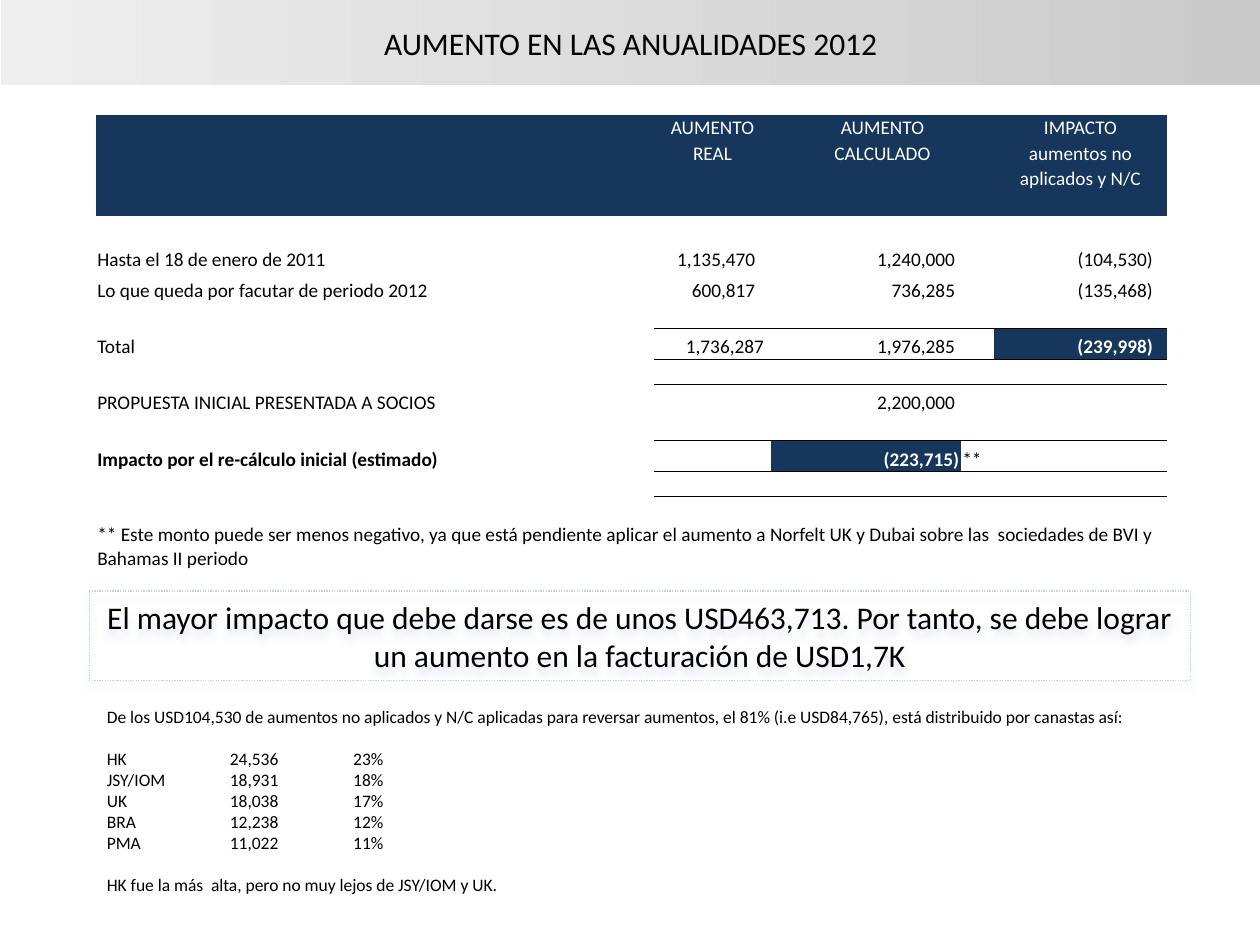
from lxml import etree
from pptx import Presentation
from pptx.dml.color import RGBColor
from pptx.enum.dml import MSO_LINE
from pptx.enum.shapes import MSO_SHAPE
from pptx.enum.text import MSO_ANCHOR, PP_ALIGN
from pptx.oxml.ns import qn
from pptx.util import Pt

LEFT, CENTER, RIGHT = PP_ALIGN.LEFT, PP_ALIGN.CENTER, PP_ALIGN.RIGHT
MIDDLE, BOTTOM = MSO_ANCHOR.MIDDLE, MSO_ANCHOR.BOTTOM
RECTANGLE, DOTTED = MSO_SHAPE.RECTANGLE, MSO_LINE.ROUND_DOT
BLACK = RGBColor(0x00, 0x00, 0x00)
WHITE = RGBColor(0xFF, 0xFF, 0xFF)
NAVY = RGBColor(0x16, 0x36, 0x5C)
PALE_BLUE = RGBColor(0xC2, 0xD1, 0xED)
SHADOW_BLUE = RGBColor(0xDC, 0xE6, 0xF2)
LIGHT_GREY = RGBColor(0xEE, 0xEE, 0xEE)
MID_GREY = RGBColor(0xCA, 0xCA, 0xCA)
FONT = "Calibri"

COLUMNS = [318.8, 66.9, 108.6, 18.8, 98.9]
ROW, TALL_ROW, NOTE_ROW, LAST_ROW = 14.4, 17.7, 28.1, 21.6
HEADER_ROWS, NOTE_INDEX = 4, 15
TALL_ROWS = (5, 6, 8, 10, 12)
RULED_ROWS = (8, 12)
HIGHLIGHTS = ((8, 4), (12, 2))
BOLD_CELLS = HIGHLIGHTS + ((12, 0),)
RIGHT_INSETS = {1: 9, 2: 3.4, 4: 8}
SPECIAL_INSETS = {(8, 1): 4, (12, 2): 1}
CONTENT = {
    0: ["", "AUMENTO", "AUMENTO", "", "IMPACTO"],
    1: ["", "REAL", "CALCULADO", "", "aumentos no"],
    2: ["", "", "", "", "aplicados y N/C"],
    5: ["Hasta el 18 de enero de 2011", "1,135,470", "1,240,000", "", "(104,530)"],
    6: ["Lo que queda por facutar de periodo 2012", "600,817", "736,285", "", "(135,468)"],
    8: ["Total", "1,736,287", "1,976,285", "", "(239,998)"],
    10: ["PROPUESTA INICIAL PRESENTADA A SOCIOS", "", "2,200,000", "", ""],
    12: ["Impacto por el re-cálculo inicial (estimado)", "", "(223,715)", "**", ""],
    15: ["** Este monto puede ser menos negativo, ya que está pendiente aplicar el "
         "aumento a Norfelt UK y Dubai sobre las  sociedades de BVI y Bahamas II periodo",
         "", "", "", ""],
}
BASKETS = [
    ("HK", "24,536", "23%"),
    ("JSY/IOM", "18,931", "18%"),
    ("UK", "18,038", "17%"),
    ("BRA", "12,238", "12%"),
    ("PMA", "11,022", "11%"),
]


def style_para(para, size, color=BLACK, align=LEFT, bold=False):
    """Format every run of a paragraph."""
    para.alignment = align
    for span in para.runs:
        span.font.name = FONT
        span.font.size = Pt(size)
        span.font.bold = bold
        span.font.color.rgb = color


def add_border(cell, side, position):
    """Draw a thin black line on one side of a cell."""
    line = etree.Element(qn("a:" + side), w=str(Pt(0.5)))
    fill = etree.SubElement(line, qn("a:solidFill"))
    etree.SubElement(fill, qn("a:srgbClr"), val=str(BLACK))
    cell._tc.get_or_add_tcPr().insert(position, line)


def fill_cell(cell, row, column, text):
    """Write and format one table cell by its place in the grid."""
    header = row < HEADER_ROWS
    highlight = (row, column) in HIGHLIGHTS
    cell.margin_left = cell.margin_right = cell.margin_top = Pt(0.7)
    cell.margin_bottom = Pt(0)
    cell.vertical_anchor = BOTTOM
    if header or highlight:
        cell.fill.solid()
        cell.fill.fore_color.rgb = NAVY
    else:
        cell.fill.background()
    para = cell.text_frame.paragraphs[0]
    if not text:
        etree.SubElement(para._p, qn("a:endParaRPr"), sz="1100")
        return
    para.text = text
    align = LEFT
    if header:
        align = CENTER
    elif column in RIGHT_INSETS:
        align = RIGHT
        inset = SPECIAL_INSETS.get((row, column), RIGHT_INSETS[column])
        cell.margin_right = Pt(inset)
    color = WHITE if header or highlight else BLACK
    style_para(para, 11, color, align, (row, column) in BOLD_CELLS)


def add_increase_table(page, left, top):
    """Place the table of real and calculated increases."""
    heights = [TALL_ROW if row in TALL_ROWS else ROW for row in range(NOTE_INDEX)]
    heights += [NOTE_ROW, LAST_ROW]
    table = page.shapes.add_table(len(heights), len(COLUMNS), Pt(left), Pt(top),
                                  Pt(sum(COLUMNS)), Pt(sum(heights))).table
    table.first_row = table.horz_banding = False
    style = table._tbl.tblPr.find(qn("a:tableStyleId"))
    style.text = "{2D5ABB26-0587-4C30-8999-92F81FD0307C}"
    for column, width in zip(table.columns, COLUMNS):
        column.width = Pt(width)
    for row, height in enumerate(heights):
        table.rows[row].height = Pt(height)
        texts = CONTENT.get(row, [""] * len(COLUMNS))
        for column, text in enumerate(texts):
            cell = table.cell(row, column)
            fill_cell(cell, row, column, text)
            if column:
                position = 0
                if row in RULED_ROWS or row - 1 in RULED_ROWS:
                    add_border(cell, "lnT", position)
                    position = 1
                if row in RULED_ROWS or row + 1 in RULED_ROWS:
                    add_border(cell, "lnB", position)
    for row in (0, 1):
        table.cell(row, 2).merge(table.cell(row, 3))
    table.cell(NOTE_INDEX, 0).merge(table.cell(NOTE_INDEX, len(COLUMNS) - 1))


def add_heading_box(page, left, top, width, height, text):
    """Place a rectangle with centred heading text."""
    box = page.shapes.add_shape(RECTANGLE, Pt(left), Pt(top), Pt(width), Pt(height))
    box.shadow.inherit = False
    box.text_frame.word_wrap = True
    box.text_frame.vertical_anchor = MIDDLE
    box.text_frame.text = text
    style_para(box.text_frame.paragraphs[0], 18, align=CENTER)
    return box


def add_title_band(page, left, top, width, height):
    """Place the grey gradient title band."""
    band = add_heading_box(page, left, top, width, height,
                           "AUMENTO EN LAS ANUALIDADES 2012")
    band.line.fill.background()
    band.fill.gradient()
    band.fill.gradient_angle = 0
    for stop, color in zip(band.fill.gradient_stops, (LIGHT_GREY, MID_GREY)):
        stop.color.rgb = color


def add_conclusion(page, left, top, width, height):
    """Place the dotted conclusion box with its soft shadow."""
    box = add_heading_box(
        page, left, top, width, height,
        "El mayor impacto que debe darse es de unos USD463,713. Por tanto, "
        "se debe lograr un aumento en la facturación de USD1,7K")
    box.fill.background()
    box.line.color.rgb = PALE_BLUE
    box.line.width = Pt(0.75)
    box.line.dash_style = DOTTED
    effects = box._element.spPr.find(qn("a:effectLst"))
    shadow = etree.SubElement(effects, qn("a:outerShdw"), blurRad=str(Pt(4)),
                              dist=str(Pt(4)), dir="5400000", rotWithShape="0")
    etree.SubElement(shadow, qn("a:srgbClr"), val=str(SHADOW_BLUE))


def add_basket_list(page, left, top, width, height):
    """Place the basket breakdown with right-aligned tab stops."""
    frame = page.shapes.add_textbox(Pt(left), Pt(top), Pt(width), Pt(height)).text_frame
    frame.word_wrap = True
    lines = ["De los USD104,530 de aumentos no aplicados y N/C aplicadas para reversar "
             "aumentos, el 81% (i.e USD84,765), está distribuido por canastas así:"]
    lines += ["\t".join(basket) for basket in BASKETS]
    lines.append("HK fue la más  alta, pero no muy lejos de JSY/IOM y UK.")
    frame.text = "\n".join(lines)
    for index, para in enumerate(frame.paragraphs):
        style_para(para, 10)
        if index in (1, len(lines) - 1):
            para.space_before = Pt(12)
        if 0 < index < len(lines) - 1:
            stops = etree.SubElement(para._p.get_or_add_pPr(), qn("a:tabLst"))
            for position in (98, 158):
                etree.SubElement(stops, qn("a:tab"), pos=str(Pt(position)), algn="r")


def build_deck():
    """Build the one-slide deck and save it."""
    deck = Presentation()
    deck.slide_width, deck.slide_height = Pt(720), Pt(540)
    page = deck.slides.add_slide(deck.slide_layouts[6])
    add_increase_table(page, 54.9, 65.7)
    add_conclusion(page, 51, 337.7, 629.3, 51)
    add_title_band(page, 0.5, 0, 720, 48.6)
    add_basket_list(page, 54, 399.6, 623.5, 138.2)
    deck.save("out.pptx")


build_deck()
